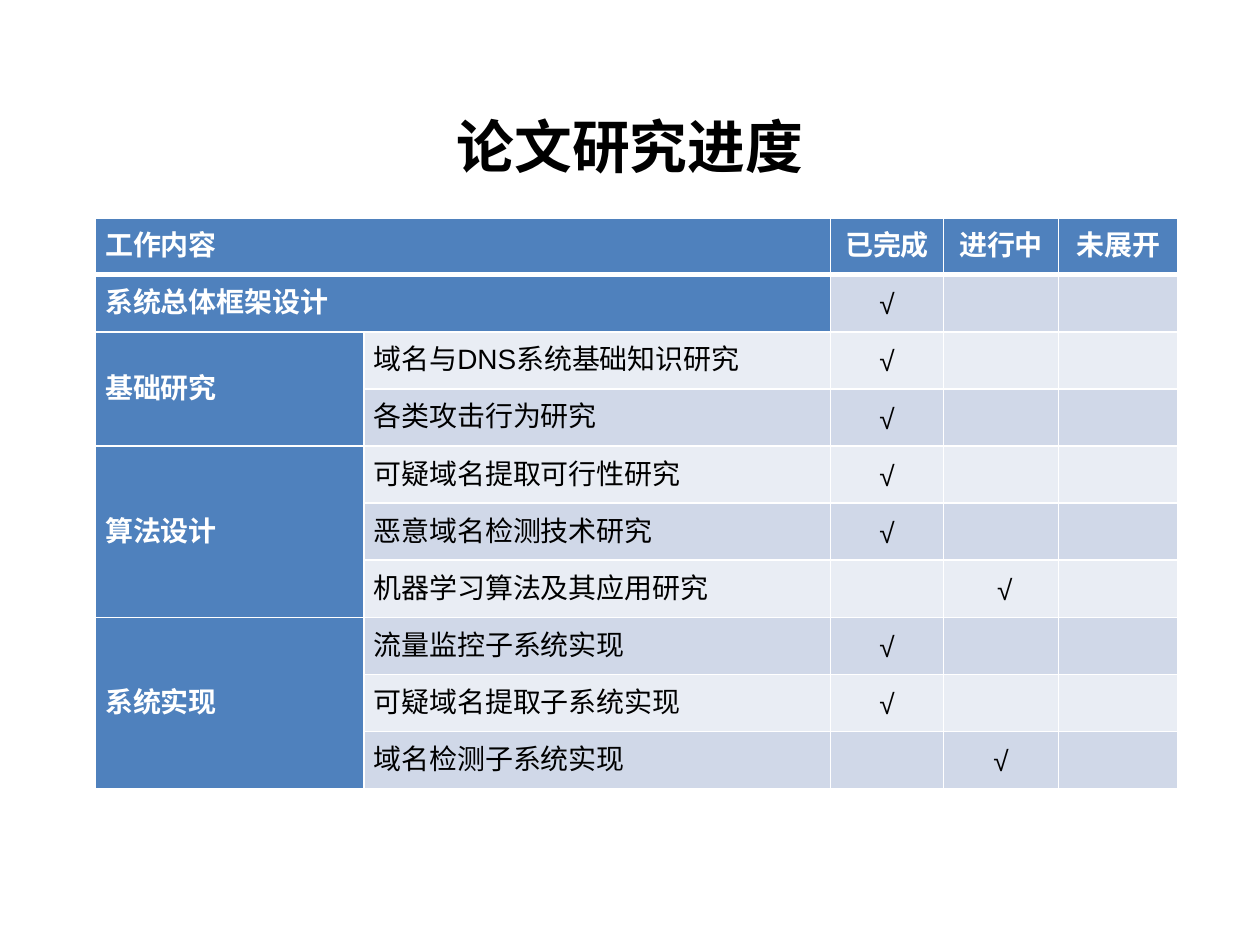
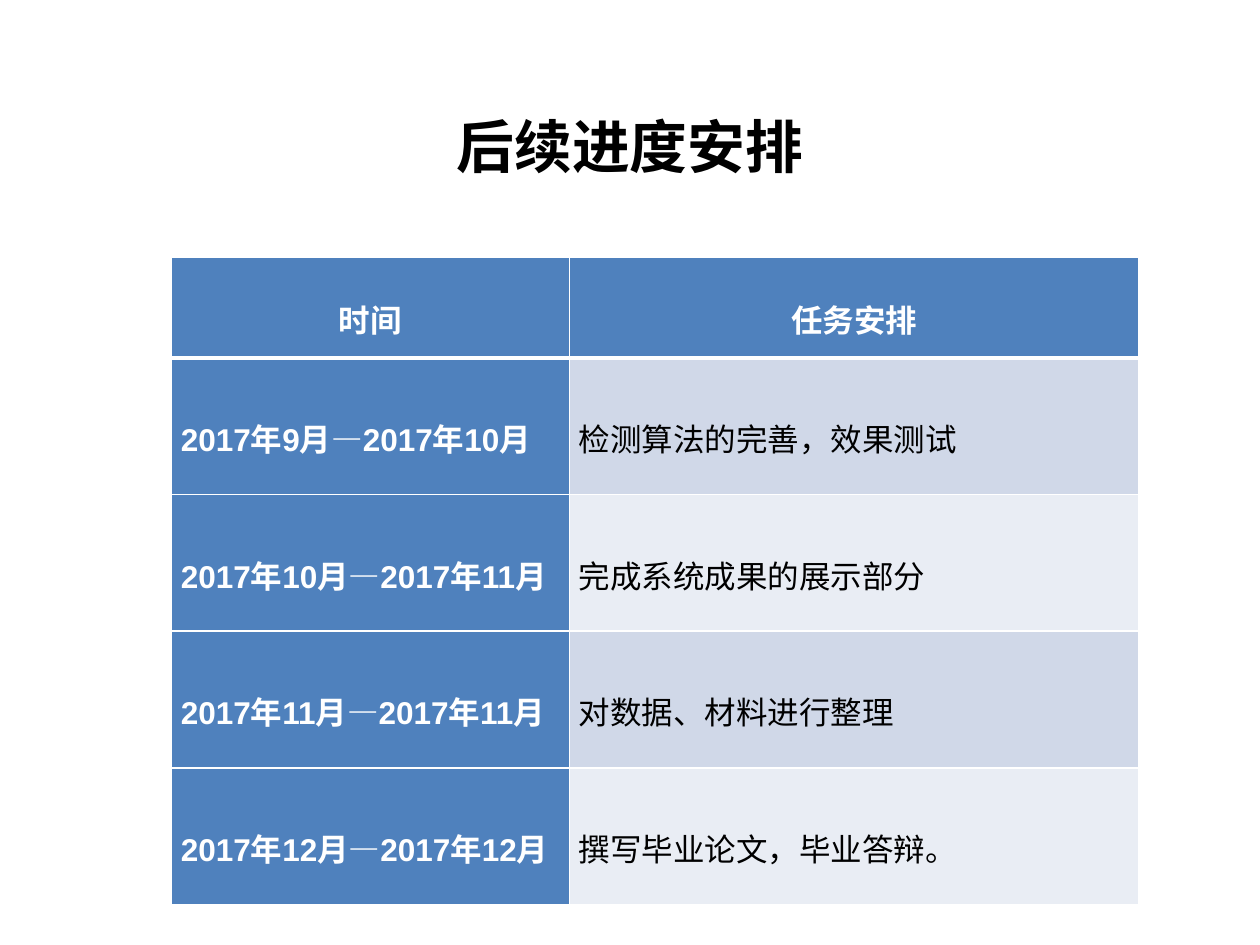
import pptx
import pptx.util
import pptx.dml.color
import pptx.enum.text
import pptx.oxml
import pptx.oxml.ns

Inches, Pt = pptx.util.Inches, pptx.util.Pt
ALIGN = pptx.enum.text.PP_ALIGN
MIDDLE = pptx.enum.text.MSO_ANCHOR.MIDDLE

# Shared look
COLORS = {"head": "4F81BD", "band": "D0D8E8", "light": "E9EDF4",
          "rule": "FFFFFF", "head_text": "FFFFFF", "text": "000000"}
TITLE_BOX = (0.5, 0.76, 9, 0.79)
TITLE_FONT = {"name": "Arial", "size": Pt(33), "bold": True}
CELL_FORMAT = {"margin_left": Pt(5.4), "margin_right": Pt(5.4),
               "margin_top": 0, "margin_bottom": 0, "vertical_anchor": MIDDLE}

# Slide 1 content: group, task, status column, mark
PROGRESS_HEAD = ["工作内容", "", "已完成", "进行中", "未展开"]
DONE, ONGOING = 2, 3
PROGRESS = [
    ("系统总体框架设计", "", DONE, "√"),
    ("基础研究", "域名与DNS系统基础知识研究", DONE, "√"),
    ("", "各类攻击行为研究", DONE, "√"),
    ("算法设计", "可疑域名提取可行性研究", DONE, "√"),
    ("", "恶意域名检测技术研究", DONE, "√"),
    ("", "机器学习算法及其应用研究", ONGOING, " √"),
    ("系统实现", "流量监控子系统实现", DONE, "√"),
    ("", "可疑域名提取子系统实现", DONE, "√"),
    ("", "域名检测子系统实现", ONGOING, "√"),
]
PROGRESS_MERGES = [(0, 0, 0, 1), (1, 0, 1, 1), (2, 0, 3, 0), (4, 0, 6, 0), (7, 0, 9, 0)]

# Slide 2 content
SCHEDULE = [
    ["时间", "任务安排"],
    ["2017年9月—2017年10月", "检测算法的完善，效果测试"],
    ["2017年10月—2017年11月", "完成系统成果的展示部分"],
    ["2017年11月—2017年11月", "对数据、材料进行整理"],
    ["2017年12月—2017年12月", "撰写毕业论文，毕业答辩。"],
]


def rgb(key):
    return pptx.dml.color.RGBColor.from_string(COLORS[key])


def apply(target, values):
    for name, value in values.items():
        setattr(target, name, value)


def write(p, text, font, color):
    r = p.add_run()
    r.text = text
    apply(r.font, font)
    r.font.color.rgb = rgb(color)


def add_title(s, text, box):
    tf = s.shapes.add_textbox(*map(Inches, box)).text_frame
    apply(tf, {"word_wrap": True, "vertical_anchor": MIDDLE})
    p = tf.paragraphs[0]
    p.alignment = ALIGN.CENTER
    write(p, text, TITLE_FONT, "text")


def add_borders(cell, row):
    """White rules, with a heavy one between the header and the body."""
    widths = {"lnL": 1, "lnR": 1, "lnT": 3 if row == 1 else 1, "lnB": 3 if row == 0 else 1}
    tc_pr = cell._tc.get_or_add_tcPr()
    for tag, width in widths.items():
        tc_pr.append(pptx.oxml.parse_xml(
            f'<a:{tag} {pptx.oxml.ns.nsdecls("a")} w="{Pt(width)}"><a:solidFill>'
            f'<a:srgbClr val="{COLORS["rule"]}"/></a:solidFill></a:{tag}>'))


def add_grid(s, box, cols, head_height, rows, size, spacing, align, body_font, merges=()):
    """Table with blue first row and column, and alternating bands elsewhere."""
    frame = s.shapes.add_table(len(rows), len(cols), *map(Inches, box))
    table = frame.table
    apply(table, {"first_row": False, "horz_banding": False})
    for column, width in zip(table.columns, cols):
        column.width = Inches(width)
    body_height = (box[3] - head_height) / (len(rows) - 1)
    for i, texts in enumerate(rows):
        table.rows[i].height = Inches(body_height if i else head_height)
        for j, text in enumerate(texts):
            cell = table.cell(i, j)
            is_head = i == 0 or j == 0
            apply(cell, CELL_FORMAT)
            add_borders(cell, i)
            cell.fill.solid()
            cell.fill.fore_color.rgb = rgb("head" if is_head else "band" if i % 2 else "light")
            p = cell.text_frame.paragraphs[0]
            apply(p, {"alignment": align(i, j), "line_spacing": spacing})
            if text:
                font = {"name": "Arial" if is_head else body_font, "size": Pt(size), "bold": is_head}
                write(p, text, font, "head_text" if is_head else "text")
    for top, left, bottom, right in merges:
        table.cell(top, left).merge(table.cell(bottom, right))


def progress_slide(s):
    add_title(s, "论文研究进度", TITLE_BOX)
    rows = [PROGRESS_HEAD]
    for group, task, status, mark in PROGRESS:
        rows.append([group, task] + [mark if c == status else "" for c in range(2, 5)])
    add_grid(s, (0.76, 1.73, 8.59, 4.53), (2.13, 3.7, 0.9, 0.91, 0.95), 0.45, rows, 16, Pt(20),
             lambda i, j: ALIGN.CENTER if j >= DONE else ALIGN.LEFT, "Arial", PROGRESS_MERGES)


def schedule_slide(s):
    add_title(s, "后续进度安排", TITLE_BOX)
    add_grid(s, (1.36, 2.04, 7.68, 5.14), (3.16, 4.52), 0.8, SCHEDULE, 18, 1.5,
             lambda i, j: ALIGN.JUSTIFY if i else ALIGN.CENTER, "Times New Roman")


def main():
    prs = pptx.Presentation()
    apply(prs, {"slide_width": Inches(10), "slide_height": Inches(7.5)})
    for build in (progress_slide, schedule_slide):
        build(prs.slides.add_slide(prs.slide_layouts[6]))
    prs.save("out.pptx")


if __name__ == "__main__":
    main()
